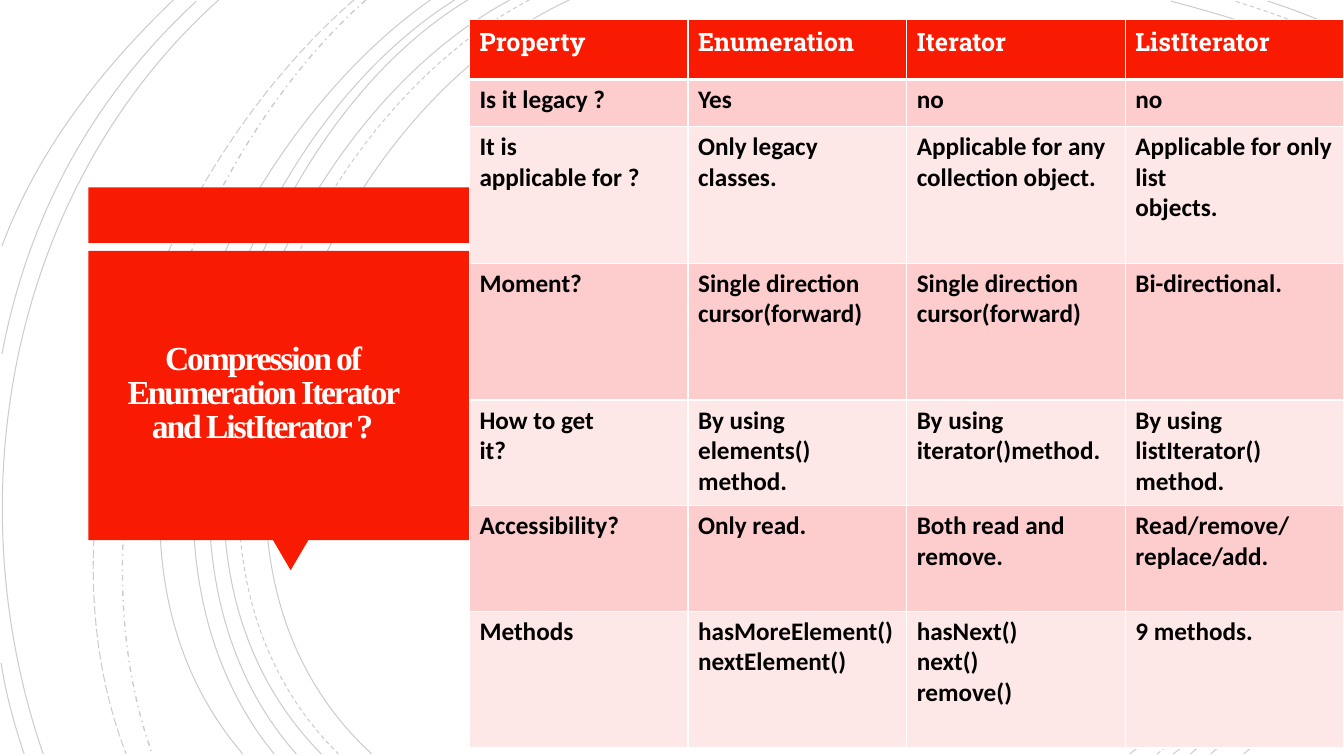
from dataclasses import dataclass

from lxml.etree import SubElement
from pptx import Presentation
from pptx.dml.color import RGBColor
from pptx.enum.dml import MSO_LINE as Dash
from pptx.enum.shapes import MSO_SHAPE as Preset
from pptx.enum.text import MSO_ANCHOR as Anchor, PP_ALIGN as Align
from pptx.oxml.ns import qn
from pptx.util import Cm, Pt


@dataclass(frozen=True)
class Theme:
    red: str = "F81B02"
    band_dark: str = "FCCDCC"
    band_light: str = "FEE8E7"
    white: str = "FFFFFF"
    title_white: str = "FFFEFF"
    black: str = "000000"
    title_font: str = "Times New Roman"
    header_font: str = "Roboto Slab"
    body_font: str = "Calibri"
    title_size: int = 24
    table_size: int = 18
    arc_opacity: int = 20


THEME = Theme()
SLIDE_W, SLIDE_H = 33.87, 19.05
ARC_BOTTOM, ARC_RIGHT = 19, 33.8

# Long arcs from the top edge to the bottom edge:
# top x, first control point, second control point, bottom x, dash, width
LONG_ARCS = [
    (14.35, (8, 2.92), (3.63, 13.72), 9.37, Dash.SOLID, 0.75),
    (13.34, (7.24, 3.18), (3.12, 13.64), 8.53, Dash.DASH, 0.75),
    (12.85, (6.86, 3.23), (2.79, 13.64), 8.1, Dash.SOLID, 0.75),
    (11.79, (6.2, 3.38), (2.79, 13.74), 7.47, Dash.SOLID, 0.75),
    (11.46, (5.87, 3.51), (2.46, 13.54), 6.91, Dash.SOLID, 0.75),
    (10.85, (5.51, 3.73), (1.35, 13.44), 6.12, Dash.SOLID, 0.75),
    (9.22, (4.47, 4.22), (1.65, 12.93), 3.84, Dash.DASH_DOT, 1),
    (8.92, (3.99, 4.29), (0.74, 12.67), 3.18, Dash.LONG_DASH, 0.75),
    (5.51, (0.28, 4.7), (-1.17, 12.45), 1.09, Dash.SOLID, 0.75),
]
# Arcs cut by the left edge: four Bezier points
LEFT_ARCS = [
    ((4.95, 0.03), (2.34, 2.44), (0.71, 5.44), (0.05, 8.92)),
    ((0.03, 16.71), (0.15, 17.5), (0.36, 18.26), (0.61, 19)),
    ((4.37, 0), (2.54, 1.75), (0.94, 3.81), (0.05, 6.2)),
]
# Arcs in the top right corner: y at the right edge, control points, x at the top
TOP_RIGHT_ARCS = [
    (1.57, (32.46, 0.86), (30.94, 0.41), 29.51, Dash.SOLID),
    (1.04, (32.94, 0.64), (32, 0.3), 31.12, Dash.DASH),
    (0.74, (33.2, 0.48), (32.59, 0.23), 31.95, Dash.SOLID),
]
# Arcs in the bottom right corner: x at the bottom, control points, y at the right edge
BOTTOM_RIGHT_ARCS = [
    (28.47, (30.4, 17.53), (32.23, 15.8), 13.92, Dash.SOLID),
    (29.16, (30.81, 17.73), (32.39, 16.26), 14.66, Dash.DASH),
    (29.57, (31.06, 17.81), (32.51, 16.46), 15.01, Dash.SOLID),
    (30, (31.34, 17.88), (32.61, 16.64), 15.32, Dash.SOLID),
    (30.51, (31.65, 18.01), (32.77, 16.94), 15.82, Dash.SOLID),
    (31.34, (32.18, 18.31), (32.99, 17.58), 16.81, Dash.SOLID),
]

TITLE = "Compression of Enumeration Iterator and ListIterator ?"
ROW_HEIGHTS = [1.5, 1.18, 3.45, 3.45, 2.66, 2.66, 3.45]
COMPARISON = [
    ["Property", "Enumeration", "Iterator", "ListIterator"],
    ["Is it legacy ?", "Yes", "no", "no"],
    ["It is\napplicable for ?", "Only legacy classes.",
     "Applicable for any\ncollection object.", "Applicable for only list\nobjects."],
    ["Moment?", "Single direction\ncursor(forward)",
     "Single direction\ncursor(forward)", "Bi-directional."],
    ["How to get\nit?", "By using elements()\nmethod.",
     "By using\niterator()method.", "By using listIterator()\nmethod."],
    ["Accessibility?", "Only read.", "Both read and\nremove.", "Read/remove/replace/add."],
    ["Methods", "hasMoreElement()\nnextElement()", "hasNext()\nnext()\nremove()", "9 methods."],
]


def rgb(color):
    return RGBColor.from_string(color)


def write(frame, text, *, font, size, color, align=Align.LEFT, leading=None, tracking=None):
    """Fill a text frame with bold text, one paragraph per line."""
    frame.word_wrap = True
    for index, line in enumerate(text.split("\n")):
        paragraph = frame.add_paragraph() if index else frame.paragraphs[0]
        paragraph.alignment = align
        if leading:
            paragraph.line_spacing = leading
        run = paragraph.add_run()
        run.text = line
        run.font.name, run.font.size, run.font.bold = font, Pt(size), True
        run.font.color.rgb = rgb(color)
        if tracking is not None:
            run.font._element.set("spc", str(round(tracking * 100)))


def add_arc(slide, points, dash=Dash.SOLID, width=0.75):
    """Draw one cubic Bezier curve through its start, two control points and end."""
    start, *rest = [(Cm(x), Cm(y)) for x, y in points]
    outline = slide.shapes.build_freeform(*start)
    outline.add_line_segments(rest, close=False)
    arc = outline.convert_to_shape()
    segments = list(arc._element.iter(qn("a:lnTo")))
    curve = SubElement(segments[0].getparent(), qn("a:cubicBezTo"))
    for segment in segments:
        curve.append(segment[0])
        segment.getparent().remove(segment)
    arc.shadow.inherit = False
    arc.fill.background()
    arc.line.width = Pt(width)
    arc.line.color.rgb = rgb(THEME.black)
    arc.line.dash_style = dash
    ink = arc.line._ln.find(".//" + qn("a:srgbClr"))
    SubElement(ink, qn("a:alpha")).set("val", str(THEME.arc_opacity * 1000))


def add_background_arcs(slide):
    for top_x, near, far, bottom_x, dash, width in LONG_ARCS:
        add_arc(slide, [(top_x, 0), near, far, (bottom_x, ARC_BOTTOM)], dash, width)
    for points in LEFT_ARCS:
        add_arc(slide, points)
    for right_y, near, far, top_x, dash in TOP_RIGHT_ARCS:
        add_arc(slide, [(ARC_RIGHT, right_y), near, far, (top_x, 0.03)], dash)
    for bottom_x, near, far, right_y, dash in BOTTOM_RIGHT_ARCS:
        add_arc(slide, [(bottom_x, ARC_BOTTOM), near, far, (ARC_RIGHT, right_y)], dash)


def add_red_shape(slide, preset, left, top, width, height):
    shape = slide.shapes.add_shape(preset, Cm(left), Cm(top), Cm(width), Cm(height))
    shape.shadow.inherit = False
    shape.fill.solid()
    shape.fill.fore_color.rgb = rgb(THEME.red)
    shape.line.fill.background()
    return shape


def add_title_callout(slide, left, top, width, height):
    """Red strip above a red panel that carries the title and a pointer below it."""
    strip_h, panel_offset = 1.4, 1.6
    panel_top, panel_h = top + panel_offset, height - panel_offset
    add_red_shape(slide, Preset.RECTANGLE, left, top, width, strip_h)
    pointer = add_red_shape(slide, Preset.ISOSCELES_TRIANGLE,
                            left + 4.65, top + height, 0.89, 0.76)
    pointer.rotation = 180
    add_red_shape(slide, Preset.RECTANGLE, left, panel_top, width, panel_h)
    title = slide.shapes.add_textbox(Cm(left + 0.23), Cm(panel_top + 0.2), Cm(8.31), Cm(6.83))
    frame = title.text_frame
    frame.margin_left = frame.margin_right = frame.margin_top = frame.margin_bottom = Cm(0.64)
    frame.vertical_anchor = Anchor.MIDDLE
    write(frame, TITLE, font=THEME.title_font, size=THEME.title_size,
          color=THEME.title_white, align=Align.CENTER, leading=0.85, tracking=-1.5)


def set_borders(cell, **widths):
    properties = cell._tc.get_or_add_tcPr()
    for side in "LRTB":
        border = SubElement(properties, qn(f"a:ln{side}"), w=str(Pt(widths.get(side, 1))))
        SubElement(SubElement(border, qn("a:solidFill")), qn("a:srgbClr"), val=THEME.white)


def add_comparison_table(slide, left, top, width):
    columns = len(COMPARISON[0])
    table = slide.shapes.add_table(len(COMPARISON), columns, Cm(left), Cm(top),
                                   Cm(width), Cm(sum(ROW_HEIGHTS))).table
    for column in table.columns:
        column.width = Cm(width / columns)
    for r, (height, texts) in enumerate(zip(ROW_HEIGHTS, COMPARISON)):
        table.rows[r].height = Cm(height)
        header = r == 0
        band = THEME.band_dark if r % 2 else THEME.band_light
        for c, text in enumerate(texts):
            cell = table.cell(r, c)
            set_borders(cell, T=3 if r == 1 else 1, B=3 if header else 1)
            cell.fill.solid()
            cell.fill.fore_color.rgb = rgb(THEME.red if header else band)
            write(cell.text_frame, text, size=THEME.table_size,
                  font=THEME.header_font if header else THEME.body_font,
                  color=THEME.white if header else THEME.black)


def main():
    deck = Presentation()
    deck.slide_width, deck.slide_height = Cm(SLIDE_W), Cm(SLIDE_H)
    slide = deck.slides.add_slide(deck.slide_layouts[6])
    add_background_arcs(slide)
    add_title_callout(slide, 2.23, 4.72, 10.2, 8.89)
    add_comparison_table(slide, 11.83, 0.5, 22.04)
    deck.save("out.pptx")


if __name__ == "__main__":
    main()
